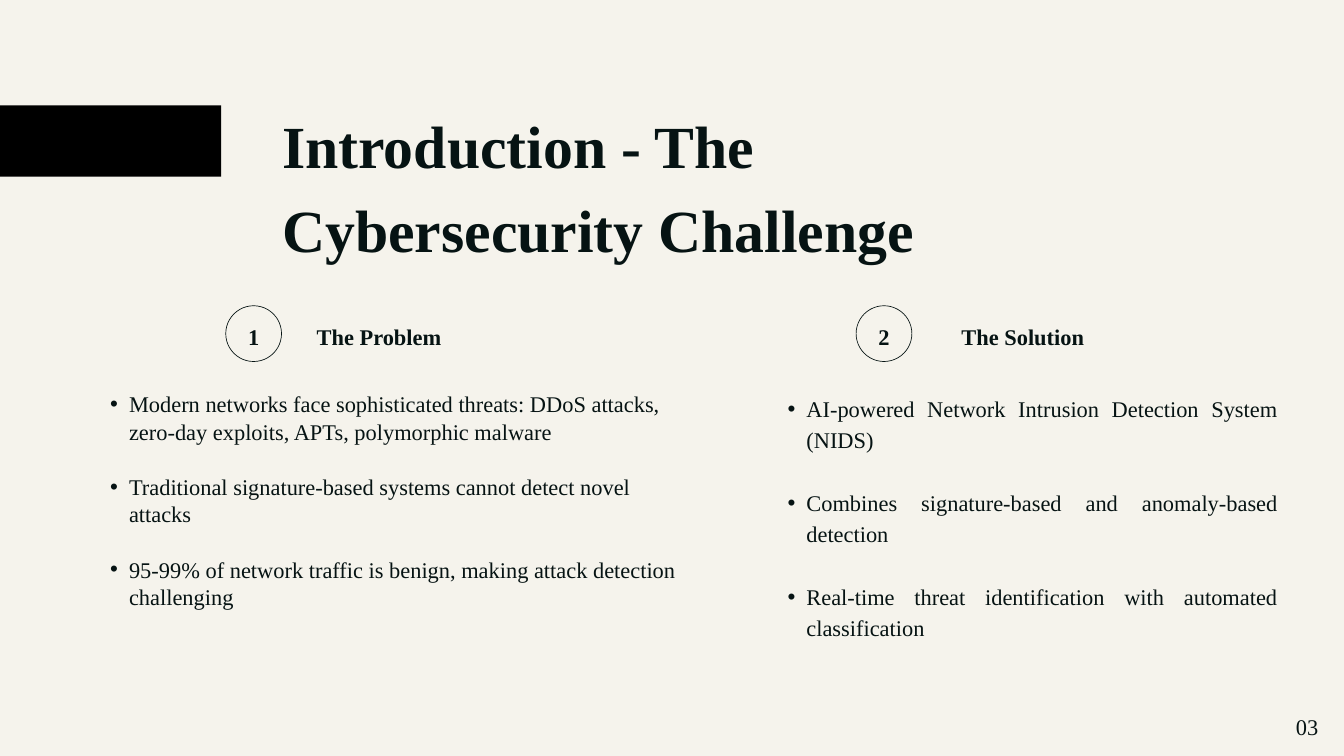
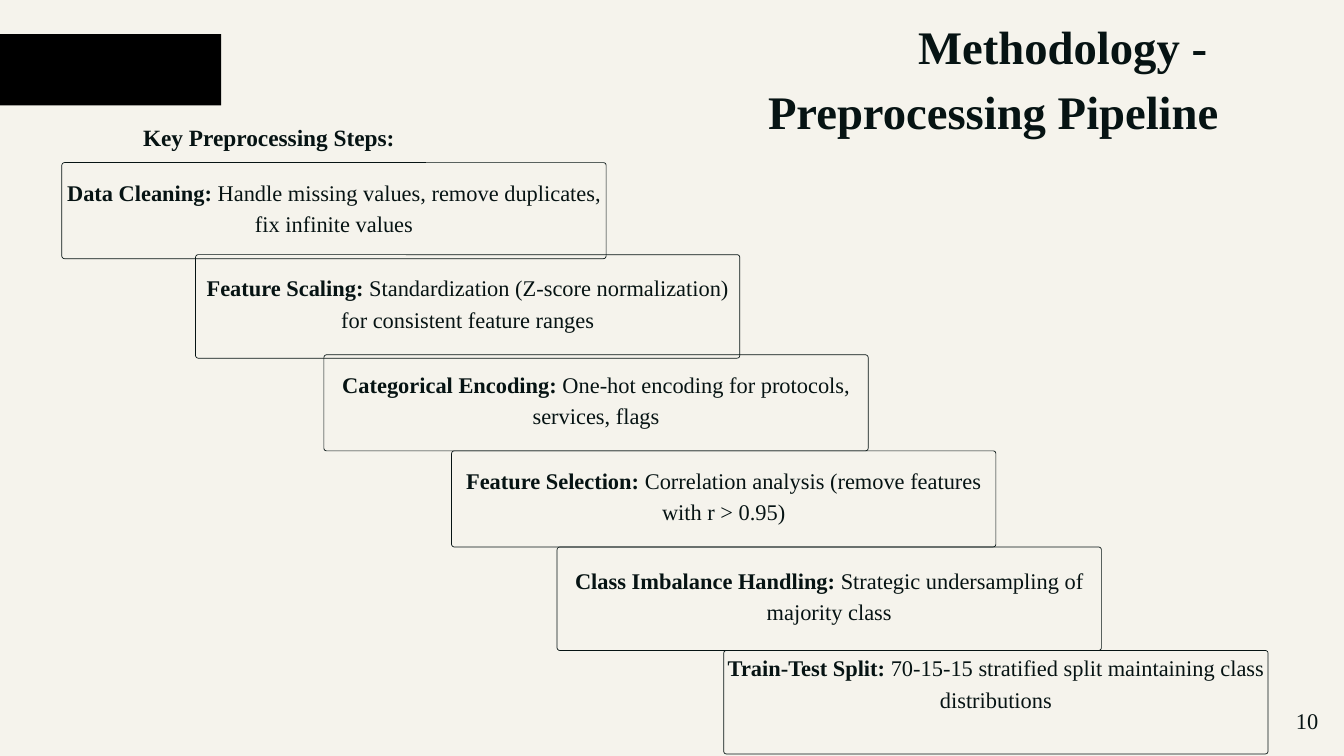
from dataclasses import dataclass

from lxml.etree import SubElement
from pptx import Presentation
from pptx.dml.color import RGBColor
from pptx.enum.shapes import MSO_SHAPE
from pptx.enum.text import MSO_ANCHOR, PP_ALIGN
from pptx.oxml.ns import qn
from pptx.shapes.autoshape import Shape
from pptx.slide import Slide
from pptx.text.text import TextFrame, _Paragraph
from pptx.util import Inches, Pt

INK, PAPER, BAND = "061313", "F5F3EC", "000000"
FONT = "Times New Roman"
BODY_SIZE, TITLE_SIZE = 24, 64
LINE_RATIO = 1.4
STEP_WIDTH, STEP_RADIUS, LABEL_RISE = 8.1, 0.04, 0.15
HEADING_TOP, HEADING_HEIGHT = 4.74, 0.42
CIRCLE_TOP, CIRCLE_SIZE = 4.55, 0.83


@dataclass(frozen=True)
class Box:
    """A place on the slide, in inches."""

    left: float
    top: float
    width: float
    height: float


@dataclass(frozen=True)
class Topic:
    """A numbered heading with its bullet list."""

    number: str
    heading: str
    circle_left: float
    heading_left: float
    heading_width: float
    points_box: Box
    points: tuple[str, ...]
    pitch: float
    align: PP_ALIGN


@dataclass(frozen=True)
class Step:
    """A stage of the preprocessing staircase."""

    lead: str
    detail: str
    left: float
    top: float
    height: float
    label_trim: float = 0


TOPICS = (
    Topic("1", "The Problem", 3.36, 4.19, 2.9, Box(1.35, 5.8, 8.98, 4.05), (
        "Modern networks face sophisticated threats: DDoS attacks, "
        "zero-day exploits, APTs, polymorphic malware",
        "Traditional signature-based systems cannot detect novel attacks",
        "95-99% of network traffic is benign, making attack detection challenging",
    ), 29.5, PP_ALIGN.LEFT),
    Topic("2", "The Solution", 12.74, 14, 2.44, Box(11.43, 5.81, 7.58, 4.09), (
        "AI-powered Network Intrusion Detection System (NIDS)",
        "Combines signature-based and anomaly-based detection",
        "Real-time threat identification with automated classification",
    ), 33.6, PP_ALIGN.JUSTIFY),
)

STEPS = (
    Step("Data Cleaning:", " Handle missing values, remove duplicates, fix infinite values",
         0.92, 2.42, 1.43),
    Step("Feature Scaling:",
         " Standardization (Z-score normalization) for consistent feature ranges",
         2.91, 3.79, 1.54),
    Step("Categorical Encoding:", " One-hot encoding for protocols, services, flags",
         4.82, 5.28, 1.43),
    Step("Feature Selection:", " Correlation analysis (remove features with r > 0.95)",
         6.72, 6.71, 1.43),
    Step("Class Imbalance Handling:", " Strategic undersampling of majority class",
         8.29, 8.14, 1.54),
    Step("Train-Test Split:", " 70-15-15 stratified split maintaining class distributions",
         10.77, 9.68, 1.54, 0.47),
)


def color(value: str) -> RGBColor:
    """Turn a hex string into a colour."""
    return RGBColor.from_string(value)


def place(box: Box) -> tuple[int, int, int, int]:
    """Give a box as slide lengths."""
    return Inches(box.left), Inches(box.top), Inches(box.width), Inches(box.height)


def style(paragraph: _Paragraph, size: float, bold: bool = False,
          align: PP_ALIGN = PP_ALIGN.LEFT, pitch: float = 0) -> None:
    """Format a paragraph and all its runs."""
    paragraph.alignment = align
    paragraph.line_spacing = Pt(pitch or size * LINE_RATIO)
    for run in paragraph.runs:
        run.font.name = FONT
        run.font.size = Pt(size)
        run.font.bold = bold
        run.font.color.rgb = color(INK)


def text_frame(slide: Slide, box: Box, inset: float = 0) -> TextFrame:
    """Add a wrapping text box with equal insets."""
    frame = slide.shapes.add_textbox(*place(box)).text_frame
    frame.word_wrap = True
    frame.margin_left = frame.margin_right = Inches(inset)
    frame.margin_top = frame.margin_bottom = Inches(inset)
    return frame


def add_text(slide: Slide, box: Box, text: str, size: float = BODY_SIZE,
             bold: bool = False, align: PP_ALIGN = PP_ALIGN.CENTER) -> None:
    """Add text in one style, one paragraph a line."""
    frame = text_frame(slide, box)
    frame.text = text
    for paragraph in frame.paragraphs:
        style(paragraph, size, bold, align)


def add_shape(slide: Slide, kind: MSO_SHAPE, box: Box, fill: str = "") -> Shape:
    """Add a filled shape, or an outlined one when no fill is given."""
    shape = slide.shapes.add_shape(kind, *place(box))
    shape.shadow.inherit = False
    if fill:
        shape.fill.solid()
        shape.fill.fore_color.rgb = color(fill)
        shape.line.fill.background()
    else:
        shape.fill.background()
        shape.line.color.rgb = color(INK)
        shape.line.width = Pt(0.75)
    return shape


def add_bullet(paragraph: _Paragraph) -> None:
    """Give a paragraph a hanging bullet."""
    paragraph.level = 1
    properties = paragraph._p.get_or_add_pPr()
    properties.set("marL", str(Inches(0.57)))
    properties.set("indent", str(Inches(-0.28)))
    SubElement(properties, qn("a:buFont"), typeface="Arial")
    SubElement(properties, qn("a:buChar"), char="•")


def add_topic(slide: Slide, topic: Topic) -> None:
    """Draw a numbered heading and the points below it."""
    frame = text_frame(slide, topic.points_box)
    frame.text = "\n".join(topic.points)
    for index, paragraph in enumerate(frame.paragraphs):
        add_bullet(paragraph)
        style(paragraph, BODY_SIZE, align=topic.align, pitch=topic.pitch)
        if index:
            paragraph.space_before = Pt(topic.pitch)
    add_shape(slide, MSO_SHAPE.OVAL,
              Box(topic.circle_left, CIRCLE_TOP, CIRCLE_SIZE, CIRCLE_SIZE))
    add_text(slide, Box(topic.circle_left, HEADING_TOP, CIRCLE_SIZE, HEADING_HEIGHT),
             topic.number, bold=True)
    add_text(slide, Box(topic.heading_left, HEADING_TOP, topic.heading_width, HEADING_HEIGHT),
             topic.heading, bold=True)


def add_step(slide: Slide, step: Step) -> None:
    """Draw a step's outline and its label."""
    outline = add_shape(slide, MSO_SHAPE.ROUNDED_RECTANGLE,
                        Box(step.left, step.top, STEP_WIDTH, step.height))
    outline.adjustments[0] = STEP_RADIUS / step.height
    label_height = step.height + LABEL_RISE - step.label_trim
    frame = text_frame(
        slide, Box(step.left, step.top - LABEL_RISE, STEP_WIDTH, label_height), 0.05)
    frame.vertical_anchor = MSO_ANCHOR.MIDDLE
    paragraph = frame.paragraphs[0]
    paragraph.text = step.lead
    paragraph.add_run().text = step.detail
    style(paragraph, BODY_SIZE, align=PP_ALIGN.CENTER)
    paragraph.runs[0].font.bold = True


def new_slide(deck: Presentation, band_top: float) -> Slide:
    """Add a slide with the shared background and side band."""
    slide = deck.slides.add_slide(deck.slide_layouts[6])
    slide.background.fill.solid()
    slide.background.fill.fore_color.rgb = color(PAPER)
    add_shape(slide, MSO_SHAPE.RECTANGLE, Box(0, band_top, 3.29, 1.06), BAND)
    return slide


def add_page_number(slide: Slide, number: str, top: float) -> None:
    """Put the page number in the lower right corner."""
    add_text(slide, Box(19.23, top, 0.44, 0.43), number)


def build_introduction(deck: Presentation) -> None:
    """Build the problem and solution slide."""
    slide = new_slide(deck, 1.57)
    add_text(slide, Box(4.2, 1.44, 11.6, 2.43), "Introduction - The Cybersecurity Challenge",
             TITLE_SIZE, True, PP_ALIGN.LEFT)
    for topic in TOPICS:
        add_topic(slide, topic)
    add_page_number(slide, "03", 10.54)


def build_methodology(deck: Presentation) -> None:
    """Build the preprocessing staircase slide."""
    slide = new_slide(deck, 0.51)
    add_text(slide, Box(1.46, 1.77, 5.08, 0.93), "Key Preprocessing Steps:", 25, True)
    for step in STEPS:
        add_step(slide, step)
    add_text(slide, Box(6.54, 0.12, 11.6, 1.9), "Methodology - \nPreprocessing Pipeline",
             50, True, PP_ALIGN.RIGHT)
    add_page_number(slide, "10", 10.46)


def main() -> None:
    """Build and save the deck."""
    deck = Presentation()
    deck.slide_width, deck.slide_height = Inches(20), Inches(11.25)
    build_introduction(deck)
    build_methodology(deck)
    deck.save("out.pptx")


if __name__ == "__main__":
    main()
